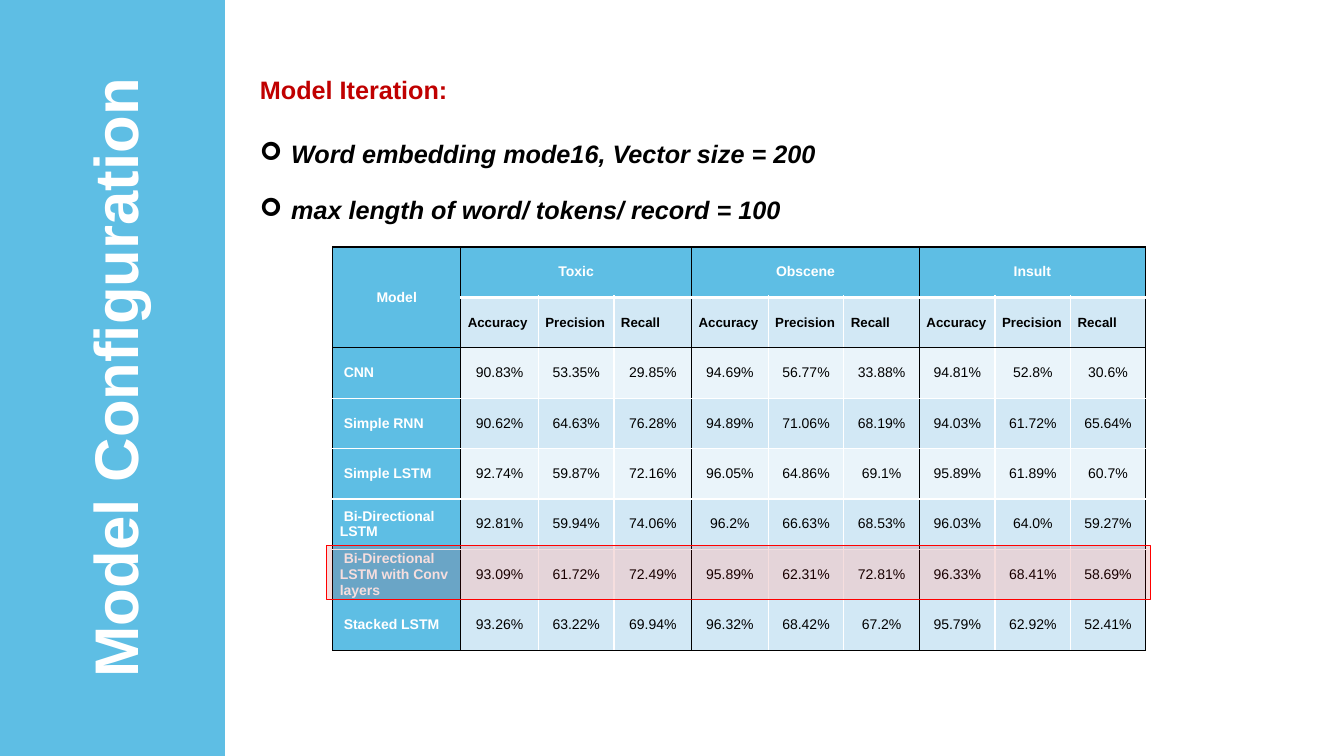
from lxml import etree
from pptx import Presentation
from pptx.dml.color import RGBColor
from pptx.enum import shapes, text
from pptx.oxml import ns
from pptx.util import Inches, Pt

HUES = {"blue": "5EBEE4", "pale": "D2E8F5", "light": "EAF4FA", "white": "FFFFFF",
        "black": "000000", "dark": "C00000", "red": "FF0000"}
WIDTHS = [1.27, 0.77, 0.75, 0.77, 0.76, 0.75, 0.75, 0.75, 0.75, 0.74]
ROW = 0.5
GROUPS = ["Toxic", "Obscene", "Insult"]
SCORES = ["Accuracy", "Precision", "Recall"]
MODELS = [
    ("CNN", "90.83 53.35 29.85 94.69 56.77 33.88 94.81 52.8 30.6"),
    ("Simple RNN", "90.62 64.63 76.28 94.89 71.06 68.19 94.03 61.72 65.64"),
    ("Simple LSTM", "92.74 59.87 72.16 96.05 64.86 69.1 95.89 61.89 60.7"),
    ("Bi-Directional LSTM", "92.81 59.94 74.06 96.2 66.63 68.53 96.03 64.0 59.27"),
    ("Bi-Directional LSTM with Conv layers",
     "93.09 61.72 72.49 95.89 62.31 72.81 96.33 68.41 58.69"),
    ("Stacked LSTM", "93.26 63.22 69.94 96.32 68.42 67.2 95.79 62.92 52.41"),
]
LAST = len(MODELS) + 1
MID = text.MSO_ANCHOR.MIDDLE
LEFT, CENTER = text.PP_ALIGN.LEFT, text.PP_ALIGN.CENTER


def rgb(hue):
    return RGBColor.from_string(HUES[hue])


def put(item, **values):
    for name, value in values.items():
        setattr(item, name, value)


def sub(node, tag, **attrs):
    return etree.SubElement(node, ns.qn(tag), **attrs)


def write(para, words, size, hue, bold=True, italic=False, **layout):
    put(para, **layout)
    run = para.add_run()
    run.text = words
    put(run.font, name="Arial", size=Pt(size), bold=bold, italic=italic)
    run.font.color.rgb = rgb(hue)


def add_box(slide, frame, fill, line=None):
    box = slide.shapes.add_shape(shapes.MSO_SHAPE.RECTANGLE, *map(Inches, frame))
    box.shadow.inherit = False
    box.fill.solid()
    box.fill.fore_color.rgb = rgb(fill)
    if line:
        box.line.color.rgb = rgb(line)
        box.line.width = Pt(1)
    else:
        box.line.fill.background()
    return box


def add_title(slide, words):
    title = slide.shapes.title
    put(title, left=Inches(-2.28), top=Inches(3.18), width=Inches(6.74),
        height=Inches(1.14), rotation=270)
    put(title.text_frame, vertical_anchor=MID, word_wrap=True,
        auto_size=text.MSO_AUTO_SIZE.NONE)
    write(title.text_frame.paragraphs[0], words, 44, "white", alignment=CENTER,
          line_spacing=1.1, space_before=Pt(9))


def add_points(slide, head, points):
    box = slide.shapes.add_textbox(*map(Inches, (2.48, 0.71, 10.51, 2.58)))
    box.text_frame.word_wrap = True
    write(box.text_frame.paragraphs[0], head, 18, "dark", line_spacing=0.95,
          space_after=Pt(25.5))
    for point in points:
        para = box.text_frame.add_paragraph()
        write(para, point, 18, "black", italic=True, line_spacing=0.95,
              space_after=Pt(19.5))
        props = para._p.get_or_add_pPr()
        props.set("marL", str(Inches(0.31)))
        props.set("indent", str(Inches(-0.31)))
        sub(props, "a:buFont", typeface="Wingdings")
        sub(props, "a:buChar", char="➢")


def set_edges(cell, row, col):
    """Black around each group of columns and rows, white inside."""
    head, side = row == 0, col == 0
    corner = side and row < 2
    black = {"L": head or side or col % 3 == 1, "R": head or col % 3 == 0,
             "T": corner or row in (0, 2), "B": corner or row in (1, LAST)}
    props = cell._tc.get_or_add_tcPr()
    for spot, (edge, dark) in enumerate(black.items()):
        thick = 3 if head and edge == "B" and not corner else 1
        line = etree.Element(ns.qn("a:ln" + edge), w=str(Pt(thick)))
        fill = sub(line, "a:solidFill")
        sub(fill, "a:srgbClr", val=HUES["black" if dark else "white"])
        props.insert(spot, line)


def fill_cell(table, row, col, words, fill, size=10, hue="black", bold=True,
              align=CENTER, indent=0):
    cell = table.cell(row, col)
    put(cell, vertical_anchor=MID, margin_left=Inches(0.07), margin_right=Inches(0.07),
        margin_top=0, margin_bottom=0)
    cell.fill.solid()
    cell.fill.fore_color.rgb = rgb(fill)
    para = cell.text_frame.paragraphs[0]
    if words:
        write(para, words, size, hue, bold, alignment=align)
    if indent:
        para._p.get_or_add_pPr().set("indent", str(Inches(indent)))
    set_edges(cell, row, col)


def add_scores(slide):
    frame = slide.shapes.add_table(LAST + 1, len(WIDTHS), Inches(3.3), Inches(2.45),
                                   Inches(sum(WIDTHS)), Inches(ROW * (LAST + 1)))
    table = frame.table
    for col, width in zip(table.columns, WIDTHS):
        col.width = Inches(width)
    for row in table.rows:
        row.height = Inches(ROW)
    fill_cell(table, 0, 0, "Model", "blue", hue="white")
    fill_cell(table, 1, 0, "", "blue")
    for col in range(1, len(WIDTHS)):
        group, score = divmod(col - 1, 3)
        fill_cell(table, 0, col, "" if score else GROUPS[group], "blue", hue="white")
        fill_cell(table, 1, col, SCORES[score], "pale", size=9.5, align=LEFT)
    for row, (model, rates) in enumerate(MODELS, 2):
        fill_cell(table, row, 0, model, "blue", hue="white", align=LEFT, indent=0.04)
        for col, rate in enumerate(rates.split(), 1):
            fill_cell(table, row, col, rate + "%", "pale" if row % 2 else "light",
                      bold=False)
    table.cell(0, 0).merge(table.cell(1, 0))
    for col in (1, 4, 7):
        table.cell(0, col).merge(table.cell(0, col + 2))


def add_mark(slide):
    """Tint the row of the chosen model."""
    mark = add_box(slide, (3.24, 5.41, 8.17, 0.54), "dark", "red")
    tint = mark.fill._xPr.find(".//" + ns.qn("a:srgbClr"))
    sub(tint, "a:alpha", val="13000")


def main():
    deck = Presentation()
    put(deck, slide_width=Inches(13.33), slide_height=Inches(7.5))
    slide = deck.slides.add_slide(deck.slide_layouts[5])
    band = add_box(slide, (0, 0, 2.23, 7.5), "blue")
    slide.shapes.title.element.addprevious(band.element)
    add_title(slide, "Model Configuration")
    add_points(slide, "Model Iteration:", [
        "Word embedding mode16, Vector size = 200",
        "max length of word/ tokens/ record = 100"])
    add_scores(slide)
    add_mark(slide)
    deck.save("out.pptx")


if __name__ == "__main__":
    main()
